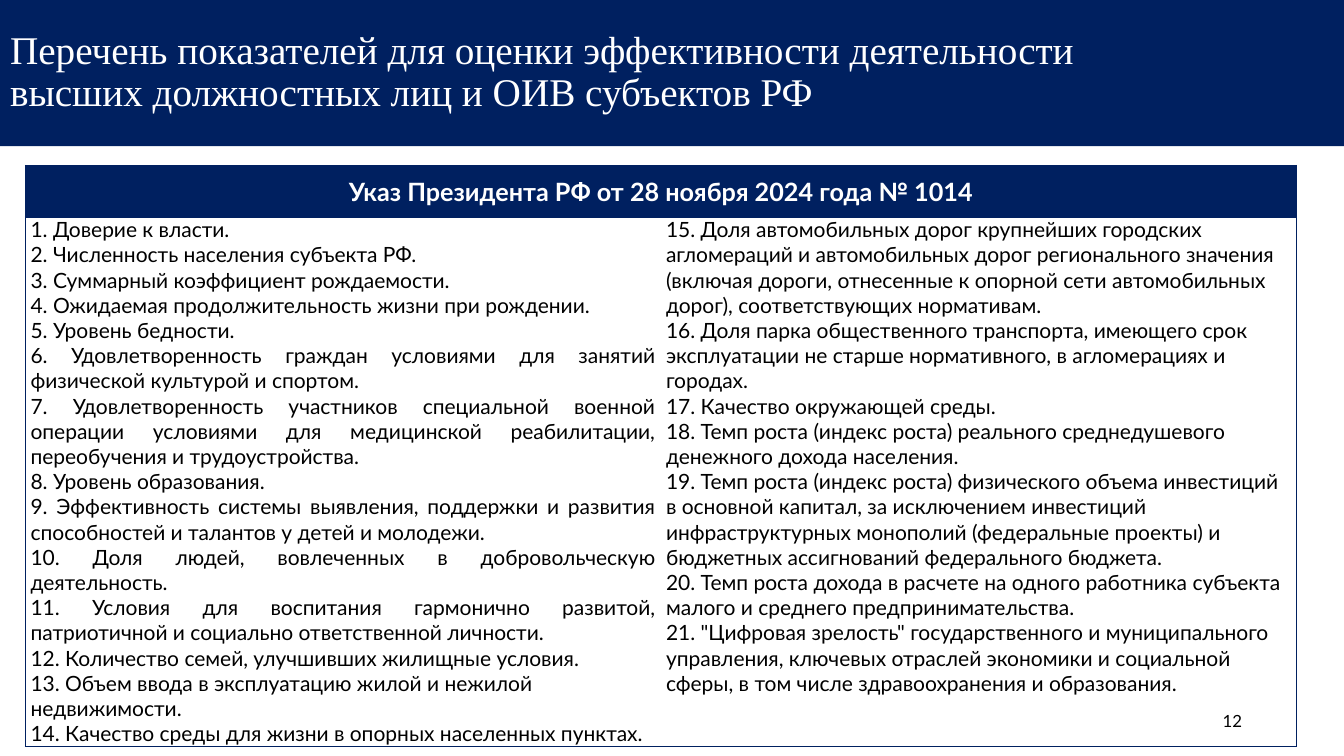
from lxml import etree
from pptx import Presentation
from pptx.dml.color import RGBColor
from pptx.enum import text as t
from pptx.oxml import ns
from pptx.util import Cm, Pt

NAVY, WHITE, BLACK = "002060", "FFFFFF", "000000"
LEFT, CENTER, RIGHT, FULL = (t.PP_ALIGN.LEFT, t.PP_ALIGN.CENTER,
                             t.PP_ALIGN.RIGHT, t.PP_ALIGN.JUSTIFY)
MIDDLE, TOP = t.MSO_ANCHOR.MIDDLE, t.MSO_ANCHOR.TOP
SPLIT = 14
FIRST_LEFT = 12

TITLE = ("Перечень показателей для оценки эффективности деятельности \v"
         "высших должностных лиц и ОИВ субъектов РФ")
DECREE = "Указ Президента РФ от 28 ноября 2024 года № 1014"
GOALS = [
    "Доверие к власти.",
    "Численность населения субъекта РФ.",
    "Суммарный коэффициент рождаемости.",
    "Ожидаемая продолжительность жизни при рождении.",
    "Уровень бедности.",
    "Удовлетворенность граждан условиями для занятий физической культурой и спортом.",
    "Удовлетворенность участников специальной военной операции условиями для "
    "медицинской реабилитации, переобучения и трудоустройства.",
    "Уровень образования.",
    "Эффективность системы выявления, поддержки и развития способностей и талантов "
    "у детей и молодежи.",
    "Доля людей, вовлеченных в добровольческую деятельность.",
    "Условия для воспитания гармонично развитой, патриотичной и социально "
    "ответственной личности.",
    "Количество семей, улучшивших жилищные условия.",
    "Объем ввода в эксплуатацию жилой и нежилой недвижимости.",
    "Качество среды для жизни в опорных населенных пунктах.",
    "Доля автомобильных дорог крупнейших городских агломераций и автомобильных дорог "
    "регионального значения (включая дороги, отнесенные к опорной сети автомобильных "
    "дорог), соответствующих нормативам.",
    "Доля парка общественного транспорта, имеющего срок эксплуатации не старше "
    "нормативного, в агломерациях и городах.",
    "Качество окружающей среды.",
    "Темп роста (индекс роста) реального среднедушевого денежного дохода населения.",
    "Темп роста (индекс роста) физического объема инвестиций в основной капитал, за "
    "исключением инвестиций инфраструктурных монополий (федеральные проекты) и "
    "бюджетных ассигнований федерального бюджета.",
    "Темп роста дохода в расчете на одного работника субъекта малого и среднего "
    "предпринимательства.",
    "\"Цифровая зрелость\" государственного и муниципального управления, ключевых "
    "отраслей экономики и социальной сферы, в том числе здравоохранения и образования.",
]


def color(code):
    """Turn a hex string into a colour."""
    return RGBColor.from_string(code)


def assign(item, **vals):
    """Set attributes of an item from a dict of values."""
    for name, val in vals.items():
        setattr(item, name, val)


def paint(item, code):
    """Fill an item with a solid colour."""
    item.fill.solid()
    item.fill.fore_color.rgb = color(code)


def write(frame, lines, size, code, face="Lato", bold=False, space=1.0):
    """Write (text, alignment) pairs as paragraphs of a frame."""
    for i, (line, align) in enumerate(lines):
        para = frame.add_paragraph() if i else frame.paragraphs[0]
        para.text = line
        assign(para, alignment=align, line_spacing=space)
        assign(para.font, name=face, size=Pt(size), bold=bold)
        para.font.color.rgb = color(code)


def border(cell, sides):
    """Draw navy lines on the given sides of a cell and clear the others."""
    props = cell._tc.get_or_add_tcPr()
    for side in "LRTB":
        line = etree.SubElement(props, ns.qn(f"a:ln{side}"), w=str(Pt(1)))
        if side in sides:
            fill = etree.SubElement(line, ns.qn("a:solidFill"))
            etree.SubElement(fill, ns.qn("a:srgbClr"), val=NAVY)
        else:
            etree.SubElement(line, ns.qn("a:noFill"))


def add_title(slide):
    """Format the title placeholder as the navy banner."""
    title = slide.shapes.title
    assign(title, left=Cm(0), top=Cm(0), width=Cm(33.87), height=Cm(3.68))
    paint(title, NAVY)
    frame = title.text_frame
    assign(frame, auto_size=t.MSO_AUTO_SIZE.NONE, vertical_anchor=MIDDLE, word_wrap=True)
    write(frame, [(TITLE, LEFT)], 28, WHITE, "Times New Roman", space=0.9)


def add_goals(slide):
    """Add the table with the decree heading over two lists."""
    table = slide.shapes.add_table(2, 2, Cm(0.64), Cm(4.17), Cm(32.03), Cm(14)).table
    assign(table, first_row=False, horz_banding=False)
    for row, height in zip(table.rows, (1.3, 12.7)):
        row.height = Cm(height)
    head = table.cell(0, 0)
    head.merge(table.cell(0, 1))
    items = [(f"{n}. {goal}", FULL) if n < FIRST_LEFT else (f"{n}. {goal}", LEFT)
             for n, goal in enumerate(GOALS, 1)]
    looks = [(0, 0, "LTRB", MIDDLE), (0, 1, "TRB", MIDDLE),
             (1, 0, "LTB", TOP), (1, 1, "TRB", TOP)]
    for row, col, sides, anchor in looks:
        cell = table.cell(row, col)
        border(cell, sides)
        paint(cell, WHITE if row else NAVY)
        assign(cell, vertical_anchor=anchor, margin_left=Cm(0.13),
               margin_right=Cm(0.13), margin_top=0, margin_bottom=0)
    write(head.text_frame, [(DECREE, CENTER)], 18, WHITE, bold=True)
    for col, part in enumerate((items[:SPLIT], items[SPLIT:])):
        write(table.cell(1, col).text_frame, part, 15, BLACK)


def add_number(slide):
    """Add the page number."""
    frame = slide.shapes.add_textbox(Cm(23.93), Cm(17.65), Cm(7.62), Cm(1.02)).text_frame
    assign(frame, word_wrap=True, vertical_anchor=MIDDLE)
    write(frame, [("12", RIGHT)], 12, BLACK)


def main():
    """Build and save the slide."""
    deck = Presentation()
    assign(deck, slide_width=Cm(33.87), slide_height=Cm(19.05))
    slide = deck.slides.add_slide(deck.slide_layouts[5])
    add_title(slide)
    add_goals(slide)
    add_number(slide)
    deck.save("out.pptx")


if __name__ == "__main__":
    main()
